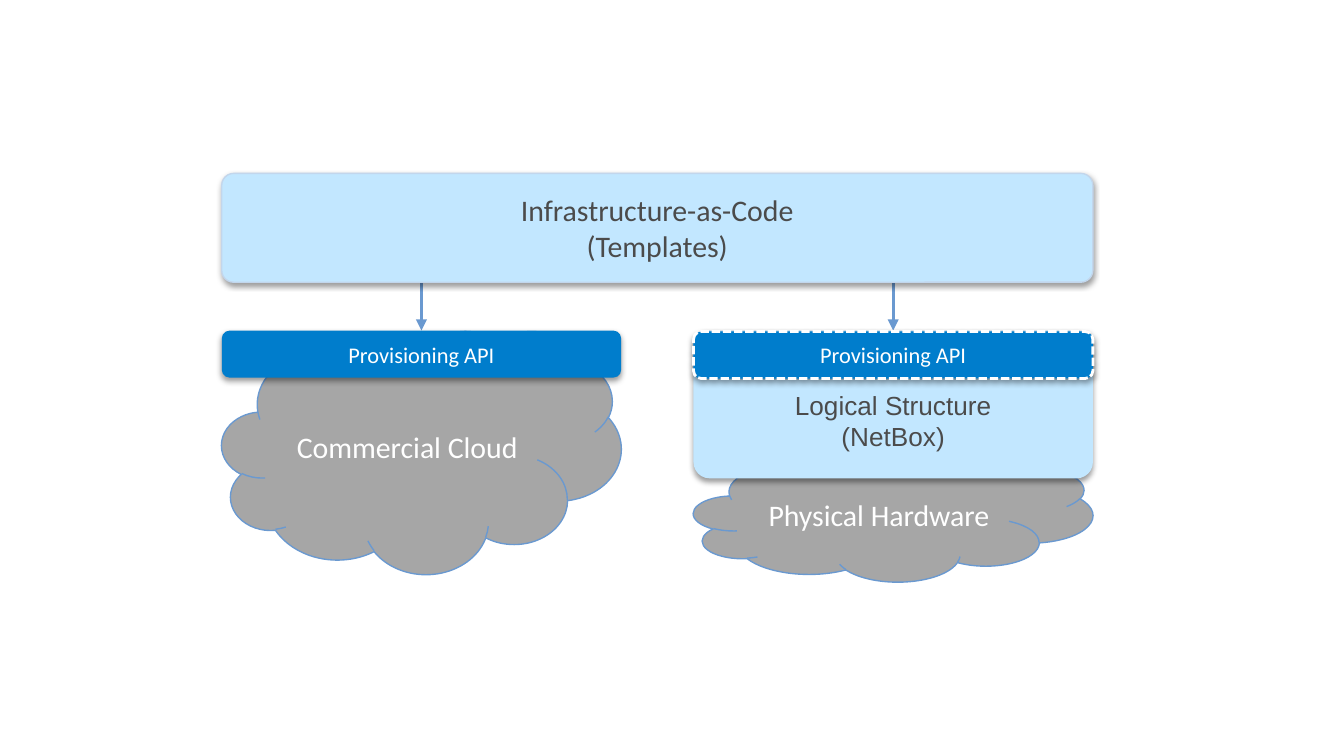
"""Build a slide on provisioning cloud and hardware through infrastructure-as-code."""
from lxml import etree
from pptx import Presentation
from pptx.dml.color import RGBColor
from pptx.enum.dml import MSO_LINE
from pptx.enum.shapes import MSO_CONNECTOR, MSO_SHAPE as SHAPE
from pptx.enum.text import MSO_ANCHOR, PP_ALIGN
from pptx.oxml import parse_xml
from pptx.oxml.ns import nsdecls, qn
from pptx.util import Pt

COLORS = {"pale": "C2E7FF", "blue": "007DCC", "gray": "A6A6A6", "edge": "6A99D0",
          "rim": "C2D6EC", "white": "FFFFFF", "text": "4B4B4B"}
SHADOW = (f'<a:outerShdw {nsdecls("a")} blurRad="{Pt(3.1)}" dist="{Pt(1.6)}" dir="5400000" '
          'rotWithShape="0"><a:srgbClr val="000000"><a:alpha val="38000"/></a:srgbClr></a:outerShdw>')
LEFT, RIGHT, COL_W = 118.8, 371.5, 214
API_TOP, API_H = 177.1, 25.2
IAC_TOP, IAC_H = 92.9, 58.3


def rgb(name):
    return RGBColor.from_string(COLORS[name])


def add_block(kind, box, fill, line, lines, size, color, font="Calibri", adj=None):
    sp = s.shapes.add_shape(kind, *map(Pt, box))
    sp.fill.solid()
    sp.fill.fore_color.rgb = rgb(fill)
    if line:
        sp.line.color.rgb = rgb(line)
        sp.line.width = Pt(0.75)
    else:
        sp.line.fill.background()
    sp.shadow.inherit = False
    if kind == SHAPE.ROUNDED_RECTANGLE:
        sp._element.spPr.find(qn("a:effectLst")).append(parse_xml(SHADOW))
    if adj:
        sp.adjustments[0] = adj
    tf = sp.text_frame
    tf.word_wrap = True
    tf.vertical_anchor = MSO_ANCHOR.MIDDLE
    tf.text = "\n".join(lines)
    for p in tf.paragraphs:
        p.alignment = PP_ALIGN.CENTER
        p.font.size = Pt(size)
        p.font.name = font
        p.font.color.rgb = rgb(color)
    return sp


prs = Presentation()
prs.slide_width, prs.slide_height = Pt(720), Pt(405)
s = prs.slides.add_slide(prs.slide_layouts[6])

add_block(SHAPE.CLOUD, (RIGHT, 242.6, COL_W, 69.1), "gray", "edge",
          ["Physical Hardware"], 16, "white")
logical = add_block(SHAPE.ROUNDED_RECTANGLE, (RIGHT, API_TOP, COL_W, 79.2), "pale", None,
                    ["Logical Structure", "(NetBox)"], 14, "text", "Arial", 0.11)
logical.text_frame.margin_top = Pt(21)
add_block(SHAPE.CLOUD, (LEFT, API_TOP, COL_W, 130.3), "gray", "edge",
          ["Commercial Cloud"], 16, "white")

for left in (LEFT, RIGHT):
    x = Pt(left + COL_W / 2)
    arrow = s.shapes.add_connector(MSO_CONNECTOR.STRAIGHT, x, Pt(IAC_TOP + IAC_H / 2), x, Pt(API_TOP))
    arrow.line.color.rgb = rgb("edge")
    arrow.line.width = Pt(1.5)
    etree.SubElement(arrow.line._get_or_add_ln(), qn("a:tailEnd"), type="triangle")
    etree.SubElement(arrow._element.spPr, qn("a:effectLst"))

add_block(SHAPE.ROUNDED_RECTANGLE, (LEFT, IAC_TOP, RIGHT + COL_W - LEFT, IAC_H), "pale", "rim",
          ["Infrastructure-as-Code", "(Templates)"], 16, "text", adj=0.11)

for left, top, line in ((LEFT, API_TOP, None), (RIGHT, API_TOP + 0.5, "white")):
    api = add_block(SHAPE.ROUNDED_RECTANGLE, (left, top, COL_W, API_H), "blue", line,
                    ["Provisioning API"], 12, "white")
    if line:
        api.line.width = Pt(1.5)
        api.line.dash_style = MSO_LINE.SQUARE_DOT

prs.save("out.pptx")
